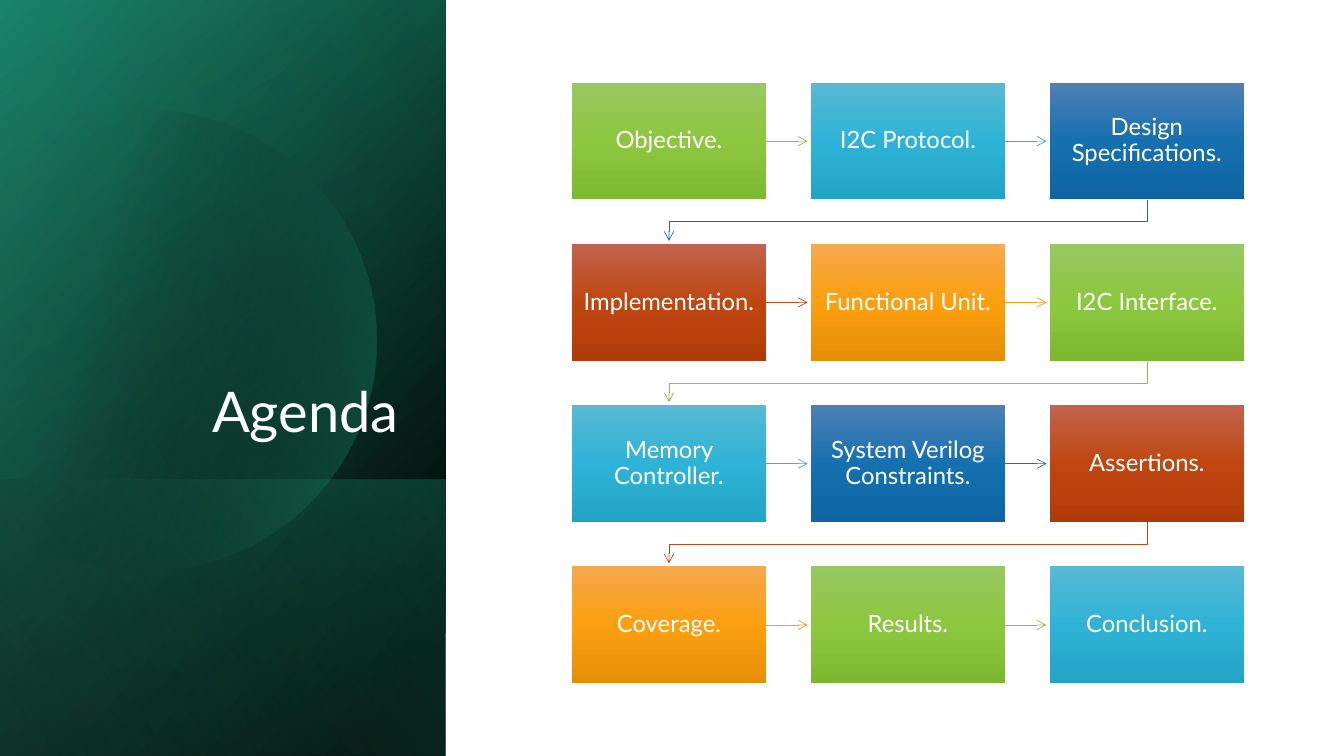
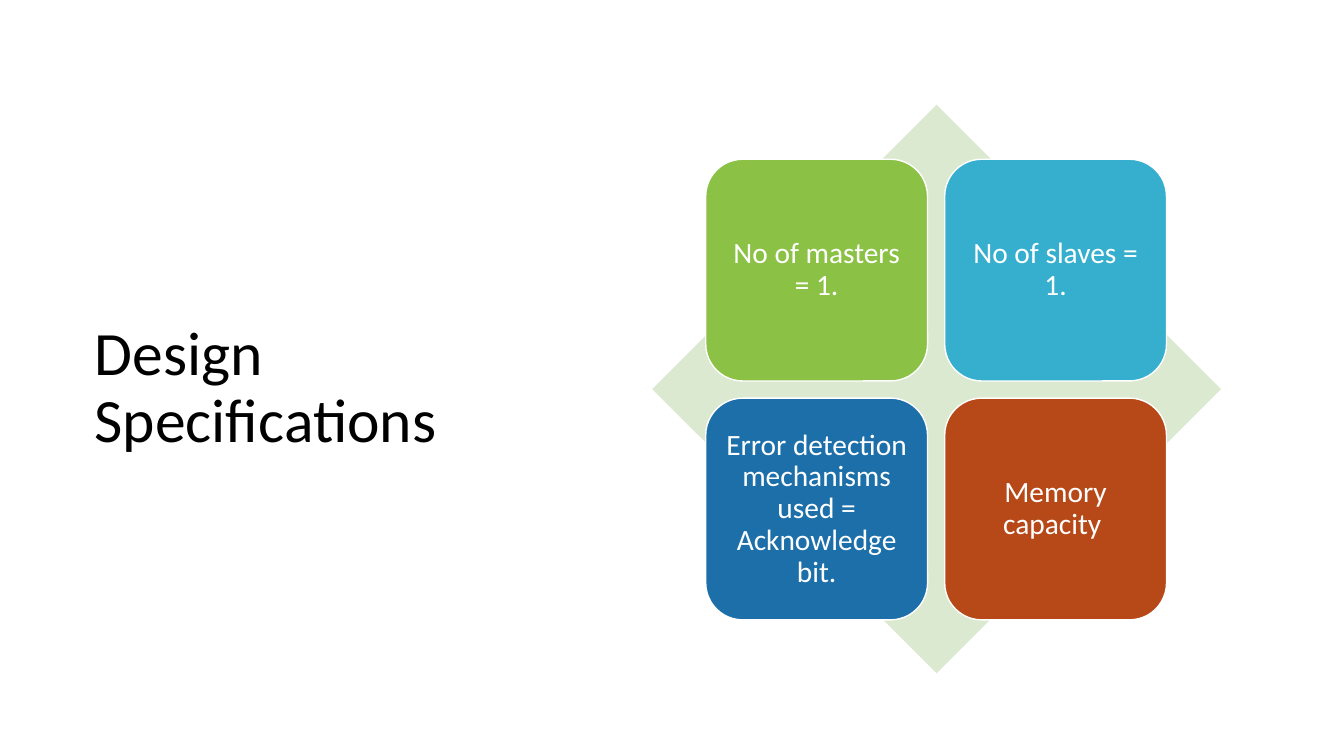
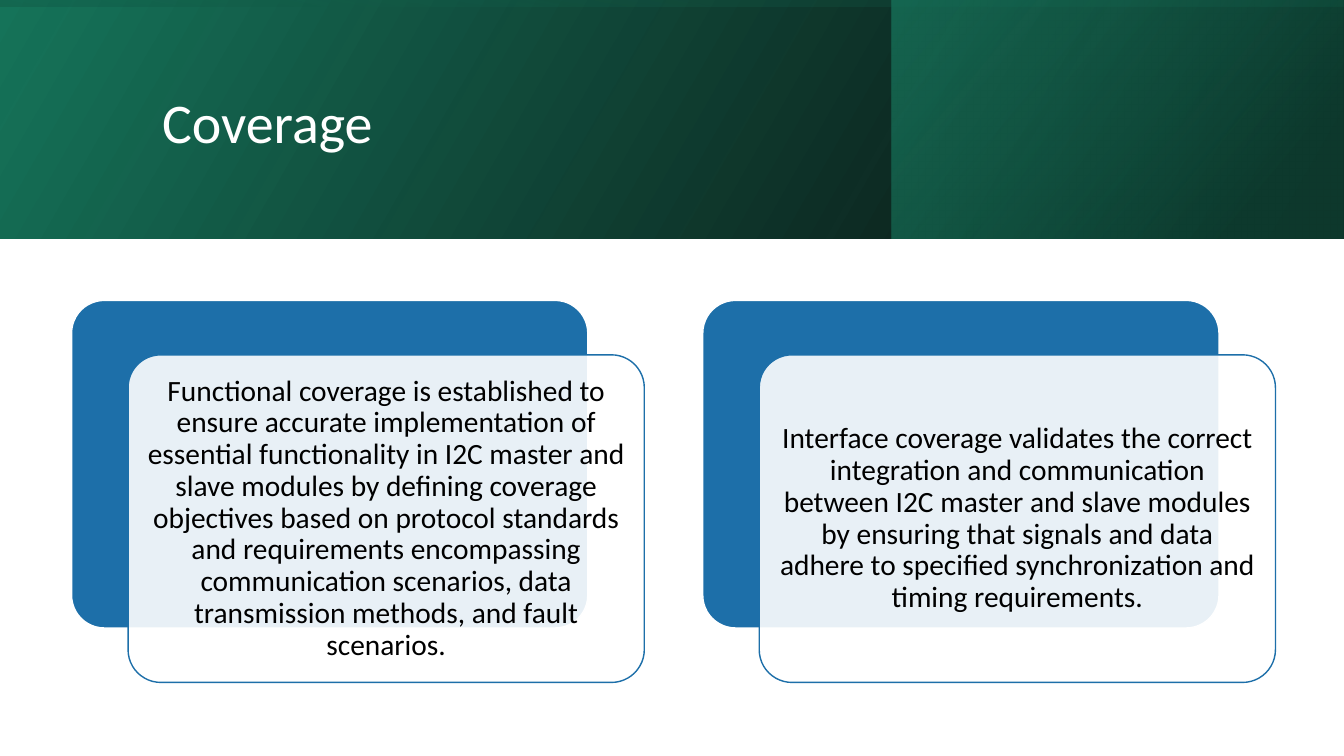
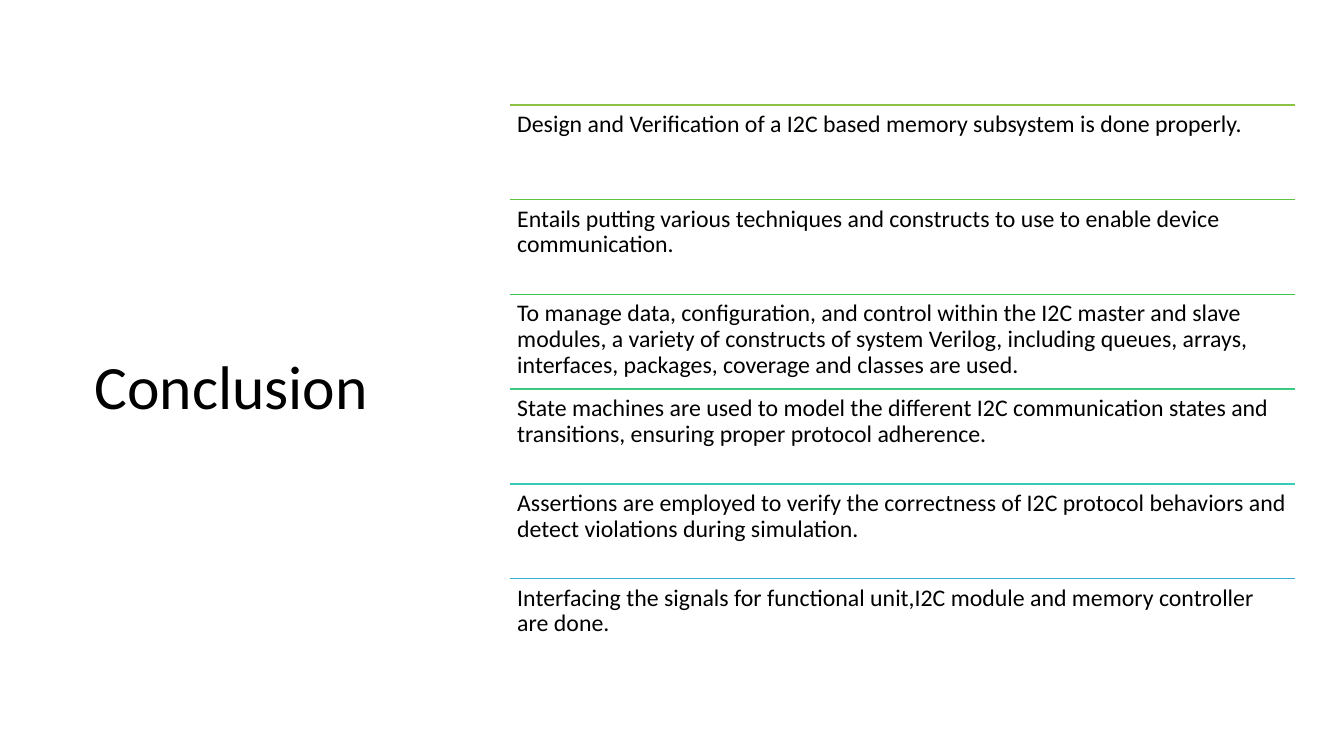
import math

import pptx
import pptx.dml.color
import pptx.enum.shapes
import pptx.enum.text
import pptx.oxml.ns
import pptx.util
from lxml import etree

Inches = pptx.util.Inches
Pt = pptx.util.Pt
RGBColor = pptx.dml.color.RGBColor
SHAPE = pptx.enum.shapes.MSO_SHAPE
ANCHOR = pptx.enum.text.MSO_ANCHOR
ALIGN = pptx.enum.text.PP_ALIGN
qn = pptx.oxml.ns.qn

# Colours
BLACK = RGBColor(0x00, 0x00, 0x00)
WHITE = RGBColor(0xFF, 0xFF, 0xFF)
FOREST = RGBColor(0x16, 0x74, 0x5A)
TEAL = RGBColor(0x1D, 0x9A, 0x78)
DARK_TEAL = RGBColor(0x0E, 0x4D, 0x3C)
MINT = RGBColor(0x5A, 0xE0, 0xBB)
PALE_GREEN = RGBColor(0xDA, 0xE9, 0xCF)
GREEN = RGBColor(0x8B, 0xC1, 0x45)
SKY = RGBColor(0x36, 0xAF, 0xCE)
NAVY = RGBColor(0x1D, 0x6F, 0xA9)
RUST = RGBColor(0xB7, 0x49, 0x19)
ORANGE = RGBColor(0xF1, 0x9D, 0x19)
ACCENTS = [GREEN, SKY, NAVY, RUST, ORANGE]

# Top, middle and bottom colour of a box in each accent
BOX_SHADES = {
    GREEN: (RGBColor(0x98, 0xC8, 0x62), RGBColor(0x8C, 0xC7, 0x3F), RGBColor(0x7D, 0xB8, 0x31)),
    SKY: (RGBColor(0x59, 0xB8, 0xD4), RGBColor(0x2E, 0xB3, 0xD6), RGBColor(0x21, 0xA4, 0xC6)),
    NAVY: (RGBColor(0x4E, 0x80, 0xB5), RGBColor(0x16, 0x70, 0xB0), RGBColor(0x0D, 0x65, 0xA3)),
    RUST: (RGBColor(0xC2, 0x63, 0x4D), RGBColor(0xBF, 0x46, 0x11), RGBColor(0xB1, 0x3B, 0x08)),
    ORANGE: (RGBColor(0xF5, 0xA8, 0x4E), RGBColor(0xFC, 0x9F, 0x0E), RGBColor(0xE5, 0x8F, 0x07)),
}


class Deck:
    """Holds the style, the presentation and the current slide."""

    def __init__(self):
        self.prs = pptx.Presentation()
        self.prs.slide_width = Inches(13.33)
        self.prs.slide_height = Inches(7.5)
        self.font = "Calibri"

    def slide(self, font="Calibri"):
        self.font = font
        self.shapes = self.prs.slides.add_slide(self.prs.slide_layouts[6]).shapes

    def set_text(self, s, text, size, color, align, anchor, inset):
        tf = s.text_frame
        tf.word_wrap = True
        tf.vertical_anchor = anchor
        tf.margin_left = tf.margin_right = Inches(inset[0])
        tf.margin_top = tf.margin_bottom = Inches(inset[1])
        p = tf.paragraphs[0]
        p.text = text
        p.alignment = align
        p.line_spacing = 0.9
        p.font.name = self.font
        p.font.size = Pt(size)
        p.font.color.rgb = color

    def text(self, x, y, w, h, text, size, color=BLACK, align=ALIGN.LEFT,
             anchor=ANCHOR.TOP, inset=(0.07, 0.07)):
        s = self.shapes.add_textbox(Inches(x), Inches(y), Inches(w), Inches(h))
        self.set_text(s, text, size, color, align, anchor, inset)

    def title(self, x, y, w, h, text, size=44, color=BLACK, align=ALIGN.LEFT,
              anchor=ANCHOR.MIDDLE):
        self.text(x, y, w, h, text, size, color, align, anchor, (0.1, 0.05))

    def shape(self, kind, x, y, w, h, fill=None, line=None, alpha=100, corner=None):
        s = self.shapes.add_shape(kind, Inches(x), Inches(y), Inches(w), Inches(h))
        s.shadow.inherit = False
        if corner is not None:
            s.adjustments[0] = corner
        if fill is not None:
            s.fill.solid()
            s.fill.fore_color.rgb = fill
            if alpha < 100:
                clr = s.element.spPr.find(qn("a:solidFill"))[0]
                etree.SubElement(clr, qn("a:alpha"), val=str(alpha * 1000))
        self.outline(s, line)
        return s

    def outline(self, s, color, width=1):
        if color is None:
            s.line.fill.background()
        else:
            s.line.color.rgb = color
            s.line.width = Pt(width)

    def gradient(self, s, stops, angle):
        """Each stop is (position, colour, opacity), in percent."""
        s.fill.background()
        spPr = s.element.spPr
        grad = etree.Element(qn("a:gradFill"), rotWithShape="1")
        gs_list = etree.SubElement(grad, qn("a:gsLst"))
        for pos, color, alpha in stops:
            gs = etree.SubElement(gs_list, qn("a:gs"), pos=str(pos * 1000))
            clr = etree.SubElement(gs, qn("a:srgbClr"), val=str(color))
            if alpha < 100:
                etree.SubElement(clr, qn("a:alpha"), val=str(alpha * 1000))
        etree.SubElement(grad, qn("a:lin"), ang=str(angle * 60000), scaled="0")
        spPr.replace(spPr.find(qn("a:noFill")), grad)

    def band(self, x, y, w, h, stops, angle, rotation=0):
        """Mirrored gradient area; x, y, w, h is the place it covers once turned."""
        if rotation:
            x, y, w, h = x + (w - h) / 2, y + (h - w) / 2, h, w
        s = self.shape(SHAPE.RECTANGLE, x, y, w, h)
        s.rotation = rotation
        s.element.spPr.find(qn("a:xfrm")).set("flipH", "1")
        self.gradient(s, stops, angle)

    def freeform(self, points, close):
        points = [(Inches(x), Inches(y)) for x, y in points]
        builder = self.shapes.build_freeform(*points[0])
        builder.add_line_segments(points[1:], close=close)
        s = builder.convert_to_shape()
        s.shadow.inherit = False
        return s

    def box(self, x, y, w, h, text, accent):
        s = self.shape(SHAPE.RECTANGLE, x, y, w, h)
        stops = [(pos, c, 100) for pos, c in zip((0, 50, 100), BOX_SHADES[accent])]
        self.gradient(s, stops, 90)
        self.set_text(s, text, 17, WHITE, ALIGN.CENTER, ANCHOR.MIDDLE, (0.09, 0.1))
        return s

    def card(self, x, y, w, h, text, fill, line=WHITE, color=WHITE, alpha=100, corner=None):
        s = self.shape(SHAPE.ROUNDED_RECTANGLE, x, y, w, h, fill, line, alpha, corner)
        if text:
            self.set_text(s, text, 21, color, ALIGN.CENTER, ANCHOR.MIDDLE, (0.09, 0.09))

    def line(self, x1, y1, x2, y2, color, width=1):
        s = self.shapes.add_connector(pptx.enum.shapes.MSO_CONNECTOR.STRAIGHT,
                                      Inches(x1), Inches(y1), Inches(x2), Inches(y2))
        self.outline(s, color, width)
        etree.SubElement(s.element.spPr, qn("a:effectLst"))
        return s

    def arrowhead(self, s):
        ln = s.element.spPr.find(qn("a:ln"))
        etree.SubElement(ln, qn("a:tailEnd"), type="arrow")

    def arrow(self, source, x1, y1, x2, y2, color):
        s = self.line(x1, y1, x2, y2, color, 0.5)
        s.begin_connect(source, 3)
        self.arrowhead(s)

    def elbow_arrow(self, points, color):
        s = self.freeform(points, close=False)
        s.fill.background()
        self.outline(s, color, 0.5)
        self.arrowhead(s)


def agenda(deck):
    deck.slide("Lato")
    # Side panel
    panel = (0, 0, 4.42, 7.5)
    deck.band(*panel, [(8, BLACK, 100), (100, FOREST, 100)], 50, 90)
    deck.band(*panel, [(0, BLACK, 0), (99, TEAL, 46)], 30, 90)
    deck.band(0, 4.76, 4.42, 2.74, [(2, TEAL, 29), (100, BLACK, 30)], 130, 90)
    # Circle cut off by the slide's left edge
    cx, cy, radius = 1.44, 3.38, 2.29
    arc = [(cx + radius * math.cos(math.radians(a)), cy + radius * math.sin(math.radians(a)))
           for a in range(-129, 130, 3)]
    circle = deck.freeform(arc, close=True)
    deck.outline(circle, None)
    deck.gradient(circle, [(29, BLACK, 0), (100, TEAL, 43)], 14)
    deck.band(*panel, [(0, BLACK, 0), (99, MINT, 11)], 120, 90)
    deck.title(0.64, 1.84, 3.41, 2.62, "Agenda", 40, WHITE, ALIGN.RIGHT, ANCHOR.BOTTOM)

    # Flow of topics, three to a row
    topics = ["Objective.", "I2C Protocol.", "Design Specifications.",
              "Implementation.", "Functional Unit.", "I2C Interface.",
              "Memory Controller.", "System Verilog Constraints.", "Assertions.",
              "Coverage.", "Results.", "Conclusion."]
    left, top, w, h = 5.67, 0.82, 1.93, 1.16
    step_x, step_y, columns, clearance = 2.37, 1.6, 3, 0.03
    for i, topic in enumerate(topics):
        row, col = divmod(i, columns)
        x, y = left + col * step_x, top + row * step_y
        accent = ACCENTS[i % len(ACCENTS)]
        box = deck.box(x, y, w, h, topic, accent)
        if i == len(topics) - 1:
            break
        if col < columns - 1:
            deck.arrow(box, x + w, y + h / 2, x + step_x - clearance, y + h / 2, accent)
        else:
            start, end = x + w / 2, left + w / 2
            middle = y + (h + step_y) / 2
            deck.elbow_arrow([(start, y + h), (start, middle), (end, middle),
                              (end, y + step_y - clearance)], accent)


def specifications(deck):
    deck.slide()
    deck.title(0.84, 1.04, 5.04, 5.64, "Design Specifications")
    deck.shape(SHAPE.DIAMOND, 6.47, 1.04, 5.64, 5.64, PALE_GREEN)
    specs = ["No of masters = 1.", "No of slaves = 1.",
             "Error detection mechanisms used = Acknowledge bit.", "Memory capacity "]
    for i, (text, accent) in enumerate(zip(specs, ACCENTS)):
        row, col = divmod(i, 2)
        deck.card(7 + col * 2.37, 1.58 + row * 2.37, 2.2, 2.2, text, accent)


def coverage(deck):
    deck.slide()
    # Title band
    deck.band(0, 0, 13.33, 2.37, [(0, BLACK, 96), (100, FOREST, 100)], 330)
    deck.band(8.84, 0, 4.48, 2.37, [(19, DARK_TEAL, 68), (100, TEAL, 48)], 320)
    deck.band(0, 0, 13.33, 2.37, [(23, FOREST, 16), (99, BLACK, 45)], 350, 270)
    deck.title(1.51, 0.38, 10.63, 1.72, "Coverage", 40, WHITE)

    # Overlapping cards
    texts = [
        "Functional coverage is established to ensure accurate implementation of essential "
        "functionality in I2C master and slave modules by defining coverage objectives based "
        "on protocol standards and requirements encompassing communication scenarios, data "
        "transmission methods, and fault scenarios.",
        "Interface coverage validates the correct integration and communication between I2C "
        "master and slave modules by ensuring that signals and data adhere to specified "
        "synchronization and timing requirements.",
    ]
    for i, text in enumerate(texts):
        x = 0.71 + i * 6.26
        deck.card(x, 2.98, 5.12, 3.25, "", NAVY, corner=0.1)
        deck.card(x + 0.56, 3.52, 5.12, 3.25, text, WHITE, NAVY, BLACK, 90, 0.1)


def conclusion(deck):
    deck.slide()
    deck.title(0.84, 1.04, 3.13, 5.64, "Conclusion")
    points = [
        (GREEN, "Design and Verification of a I2C based memory subsystem is done properly."),
        (RGBColor(0x5D, 0xC4, 0x42), "Entails putting various techniques and constructs to use "
         "to enable device communication."),
        (RGBColor(0x3F, 0xC6, 0x52), "To manage data, configuration, and control within the I2C "
         "master and slave modules, a variety of constructs of system Verilog, including queues, "
         "arrays, interfaces, packages, coverage and classes are used."),
        (RGBColor(0x3C, 0xC9, 0x82), "State machines are used to model the different I2C "
         "communication states and transitions, ensuring proper protocol adherence."),
        (RGBColor(0x39, 0xCB, 0xB5), "Assertions are employed to verify the correctness of I2C "
         "protocol behaviors and detect violations during simulation."),
        (SKY, "Interfacing the signals for functional unit,I2C module and memory controller "
         "are done."),
    ]
    left, w, step = 5.06, 7.78, 0.94
    for i, (color, text) in enumerate(points):
        y = 1.04 + i * step
        deck.line(left, y, left + w, y, color)
        deck.text(left, y, w, step, text, 17)


def main():
    deck = Deck()
    agenda(deck)
    specifications(deck)
    coverage(deck)
    conclusion(deck)
    deck.prs.save("out.pptx")


if __name__ == "__main__":
    main()
